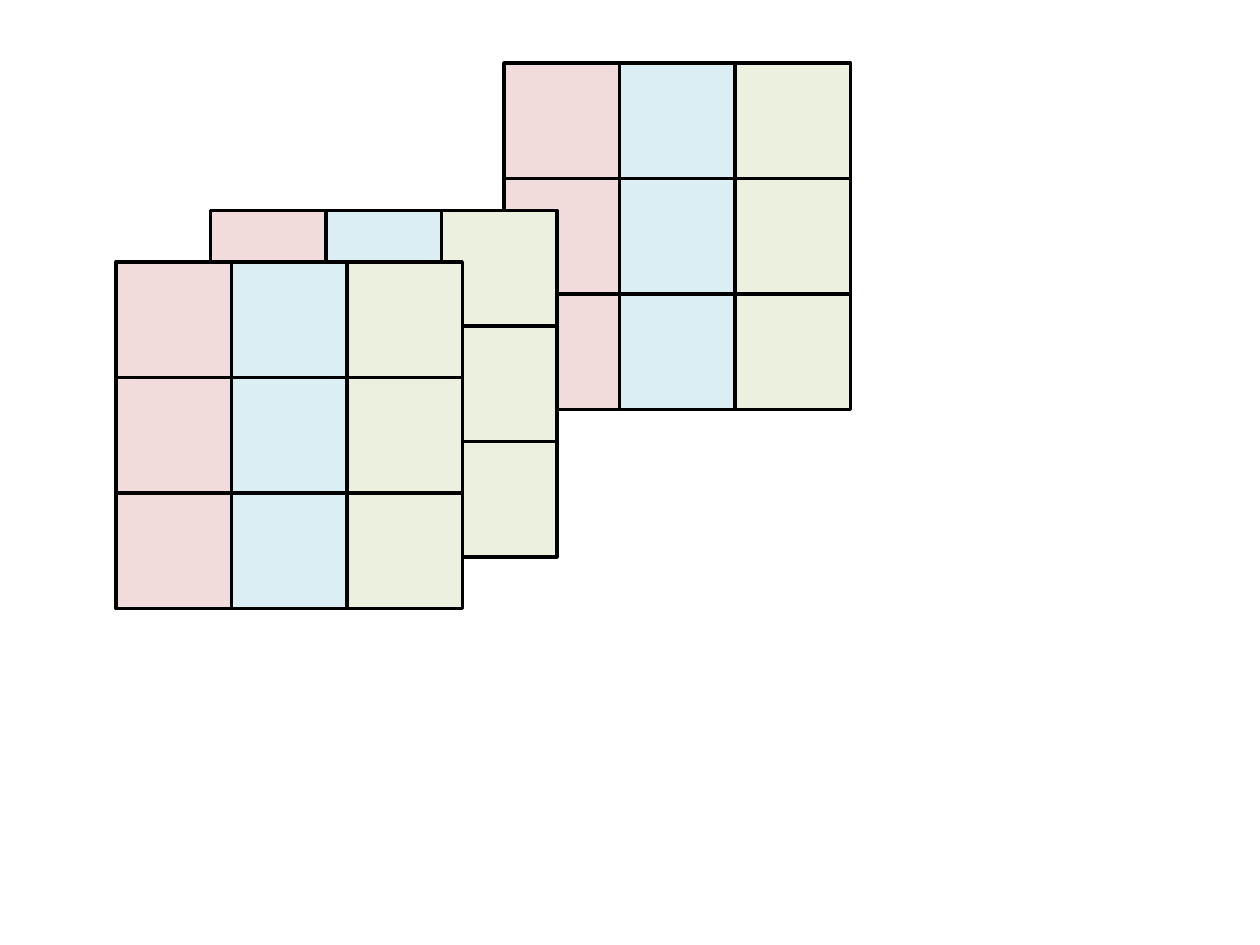
from itertools import product

from pptx import Presentation
from pptx import util as u
from pptx.dml.color import RGBColor
from pptx.enum import shapes

PINK = RGBColor(0xF2, 0xDC, 0xDB)
BLUE = RGBColor(0xDB, 0xEE, 0xF4)
GREEN = RGBColor(0xEB, 0xF1, 0xDE)
WHITE = RGBColor(0xFF, 0xFF, 0xFF)
BLACK = RGBColor(0x00, 0x00, 0x00)

GRID_SIZE = 2.75
COLUMN_COLORS = (PINK, BLUE, GREEN)
COVERED_COLORS = (WHITE, WHITE, GREEN)


class GridPainter:
    """Holds the cell style and the slide being drawn."""

    def __init__(self, page, line_color=BLACK, line_width=2):
        self.page = page
        self.line_color = line_color
        self.line_width = u.Pt(line_width)

    def cell(self, left, top, size, color):
        box = self.page.shapes.add_shape(
            shapes.MSO_SHAPE.RECTANGLE,
            u.Inches(left), u.Inches(top), u.Inches(size), u.Inches(size))
        box.shadow.inherit = False
        box.fill.solid()
        box.fill.fore_color.rgb = color
        box.line.color.rgb = self.line_color
        box.line.width = self.line_width

    def grid(self, left, top, row_colors):
        """Draw a square grid; row_colors lists the cell colours row by row."""
        size = GRID_SIZE / len(row_colors)
        for row, column in product(range(len(row_colors)), repeat=2):
            self.cell(left + column * size, top + row * size, size,
                      row_colors[row][column])


def main():
    deck = Presentation()
    deck.slide_width, deck.slide_height = u.Inches(10), u.Inches(7.5)
    page = deck.slides.add_slide(deck.slide_layouts.get_by_name("Blank"))
    painter = GridPainter(page)

    # Stacked grids, from back to front
    painter.grid(4, 0.5, [COLUMN_COLORS] * 3)
    painter.grid(1.67, 1.67, [COLUMN_COLORS, COVERED_COLORS, COVERED_COLORS])
    painter.grid(0.92, 2.08, [COLUMN_COLORS] * 3)

    deck.save("out.pptx")


if __name__ == "__main__":
    main()
